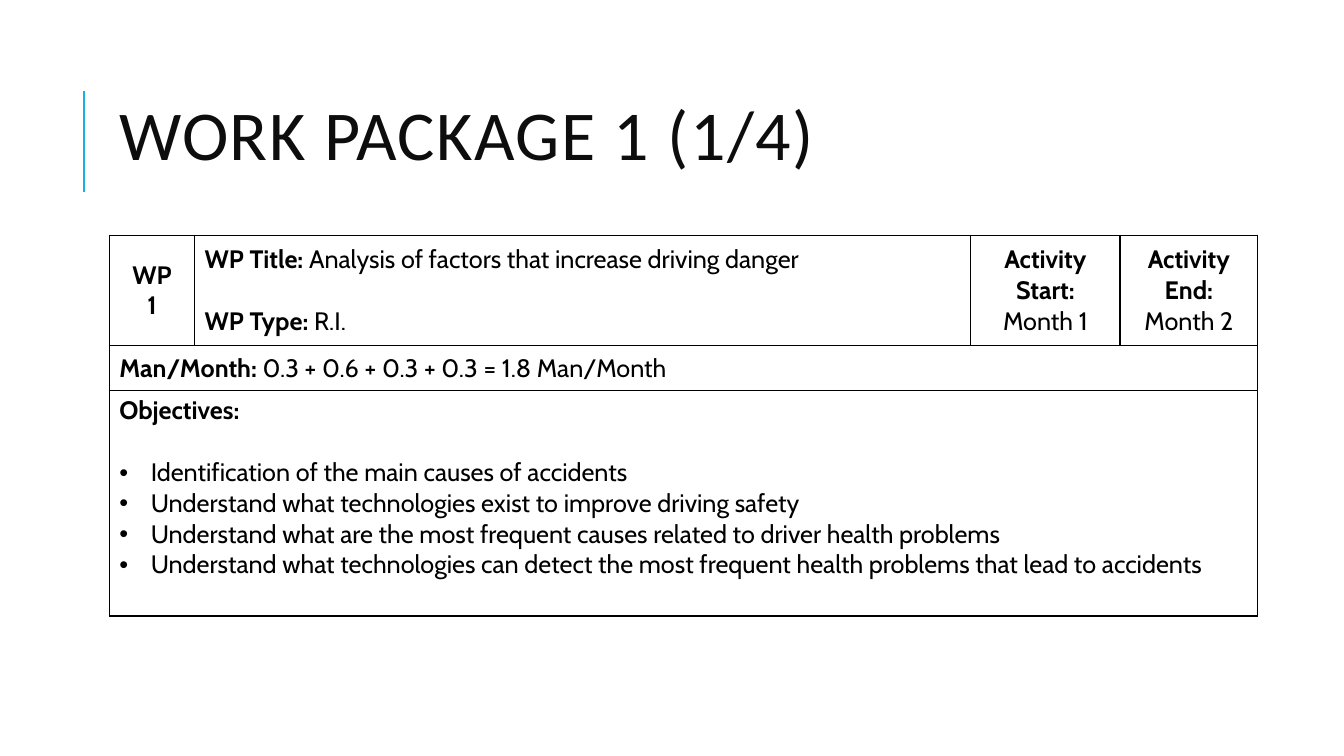
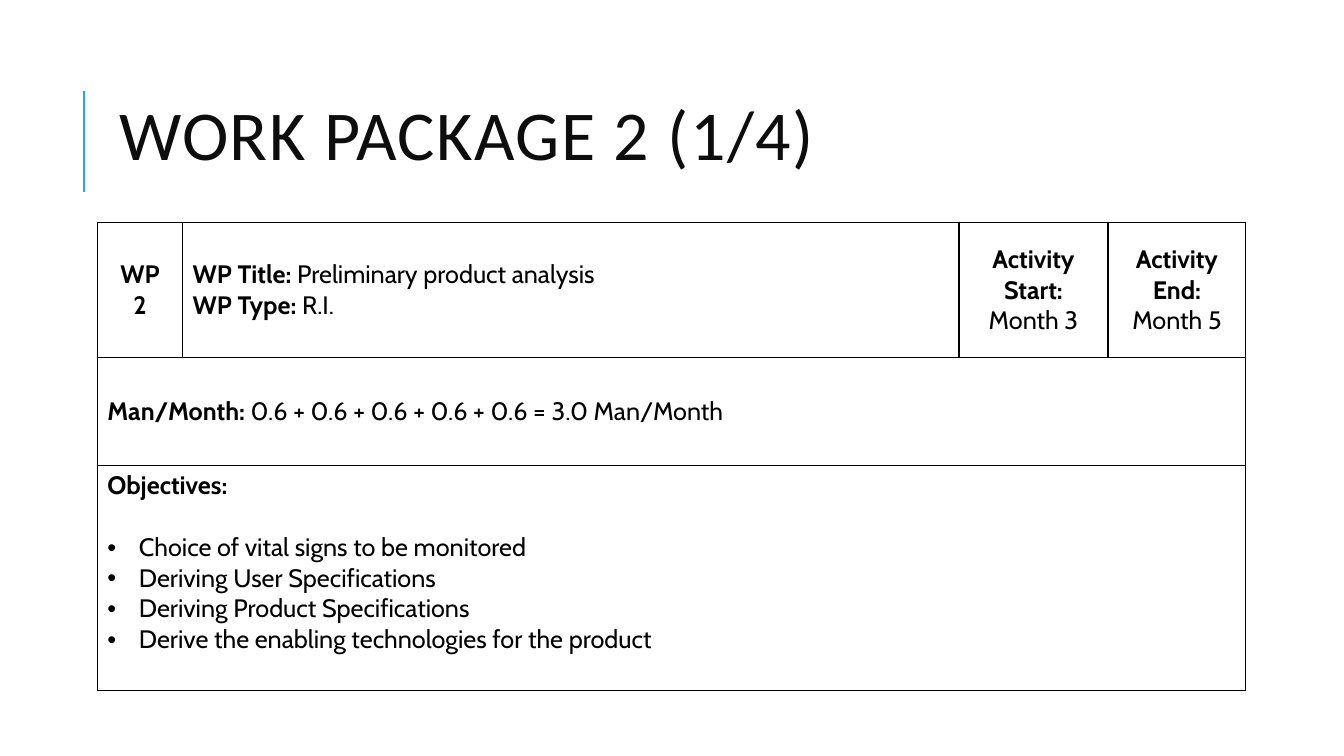
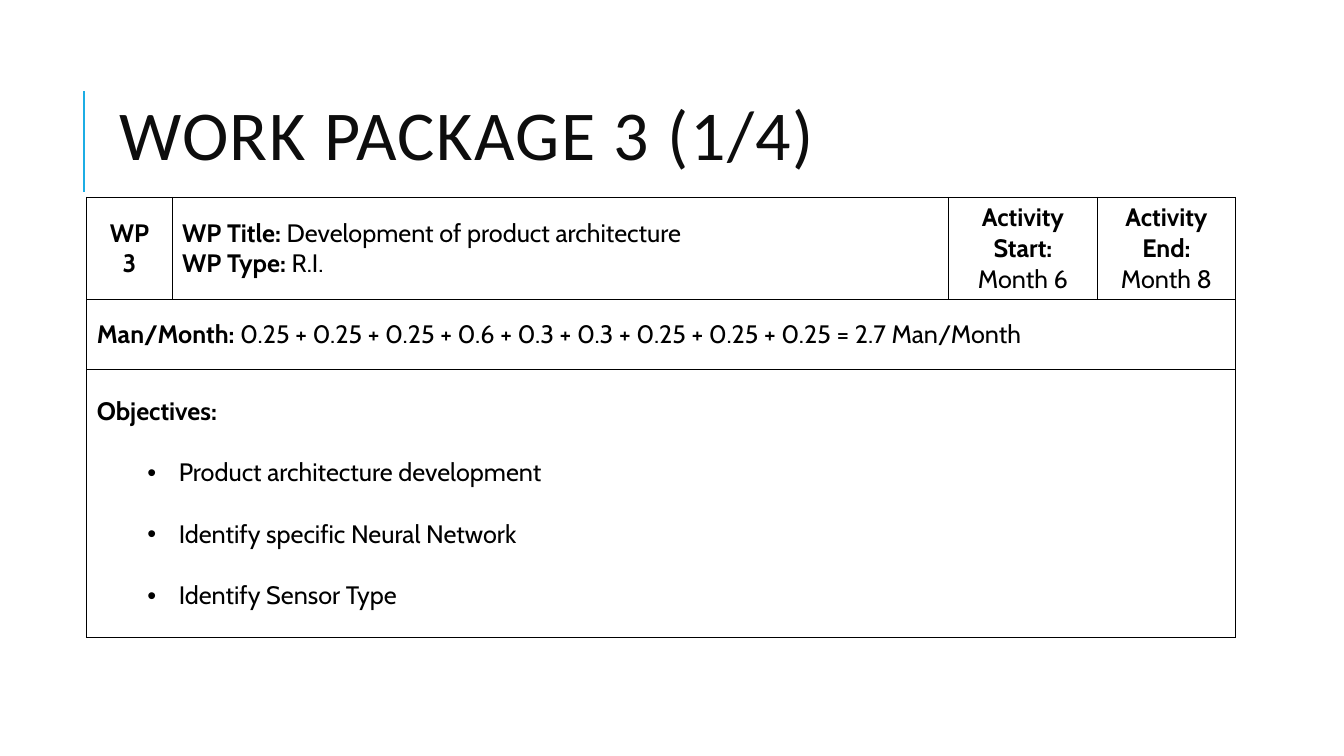
from dataclasses import dataclass

from lxml import etree
from pptx import Presentation
from pptx.dml.color import RGBColor
from pptx.enum.shapes import MSO_CONNECTOR
from pptx.enum.text import MSO_ANCHOR, MSO_AUTO_SIZE, PP_ALIGN
from pptx.oxml.ns import qn
from pptx.util import Pt

LINE = MSO_CONNECTOR.STRAIGHT
MIDDLE, TOP = MSO_ANCHOR.MIDDLE, MSO_ANCHOR.TOP
LEFT, CENTER = PP_ALIGN.LEFT, PP_ALIGN.CENTER
NO_FIT = MSO_AUTO_SIZE.NONE

ACCENT = RGBColor(0x1C, 0xAD, 0xE4)
INK = RGBColor(0x0D, 0x0D, 0x0D)
BLACK = RGBColor(0, 0, 0)
WHITE = RGBColor(0xFF, 0xFF, 0xFF)

TITLE_FONT, BODY_FONT = "Calibri", "Cabin"
BODY_SIZE = 18
BLANK_LINE = 22
HANGING = 22.5
TITLE_ONLY = 5
HEADER_BOX = (60, 41, 783, 119)
COLUMNS = (61, 554.5, 106.5, 98.5)


@dataclass
class WorkPackage:
    number: int
    title: str
    start: int
    end: int
    effort: str
    objectives: tuple
    origin: tuple
    rows: tuple
    type_gap: float = 0
    objective_gap: float = 0
    objective_indent: float = HANGING
    objective_anchor: int = TOP


PACKAGES = (
    WorkPackage(
        1, "Analysis of factors that increase driving danger", 1, 2,
        "0.3 + 0.6 + 0.3 + 0.3 = 1.8 Man/Month",
        ("Identification of the main causes of accidents",
         "Understand what technologies exist to improve driving safety",
         "Understand what are the most frequent causes related to driver health problems",
         "Understand what technologies can detect the most frequent health problems "
         "that lead to accidents"),
        (78, 168), (79, 32, 161), type_gap=BLANK_LINE),
    WorkPackage(
        2, "Preliminary product analysis", 3, 5,
        "0.6 + 0.6 + 0.6 + 0.6 + 0.6 = 3.0 Man/Month",
        ("Choice of vital signs to be monitored",
         "Deriving User Specifications",
         "Deriving Product Specifications",
         "Derive the enabling technologies for the product"),
        (69.5, 159), (96.5, 77, 161)),
    WorkPackage(
        3, "Development of product architecture", 6, 8,
        "0.25 + 0.25 + 0.25 + 0.6 + 0.3 + 0.3 + 0.25 + 0.25 + 0.25 = 2.7 Man/Month",
        ("Product architecture development",
         "Identify specific Neural Network",
         "Identify Sensor Type"),
        (62, 141), (73, 50, 191), objective_gap=BLANK_LINE,
        objective_indent=58.5, objective_anchor=MIDDLE),
)


def add_header(slide, text, box):
    left, top, width, height = box
    rule = slide.shapes.add_connector(
        LINE, Pt(left), Pt(top + 96), Pt(left), Pt(top + 24))
    rule.line.color.rgb = ACCENT
    rule.line.width = Pt(1.5)
    etree.SubElement(rule._element.spPr, qn("a:effectLst"))

    sp = slide.shapes.title
    sp.left, sp.top = Pt(left + 18), Pt(top)
    sp.width, sp.height = Pt(width - 18), Pt(height)
    tf = sp.text_frame
    tf.text = text
    tf.word_wrap = True
    tf.auto_size = NO_FIT
    tf.vertical_anchor = MIDDLE
    p = tf.paragraphs[0]
    p.alignment = LEFT
    p.line_spacing = 0.8
    r = p.runs[0]
    r.font.name = TITLE_FONT
    r.font.size = Pt(50)
    r.font.color.rgb = INK
    r.font._element.set("spc", "100")


def style_cell(cell):
    tc_pr = cell._tc.get_or_add_tcPr()
    for side in ("lnL", "lnR", "lnT", "lnB"):
        ln = etree.SubElement(tc_pr, qn(f"a:{side}"), w=str(Pt(1)))
        fill = etree.SubElement(ln, qn("a:solidFill"))
        etree.SubElement(fill, qn("a:srgbClr"), val=str(BLACK))
    cell.fill.solid()
    cell.fill.fore_color.rgb = WHITE
    cell.vertical_anchor = MIDDLE


def add_run(p, text, bold):
    r = p.add_run()
    r.text = text
    r.font.name = BODY_FONT
    r.font.size = Pt(BODY_SIZE)
    r.font.bold = bold
    r.font.color.rgb = BLACK


def write_inline(p, label, value):
    add_run(p, f"{label} ", True)
    add_run(p, value, False)


def write_stacked(cell, label, value, value_bold=False):
    p = cell.text_frame.paragraphs[0]
    p.alignment = CENTER
    add_run(p, label, True)
    p.add_line_break()
    add_run(p, value, value_bold)


def add_bullet(p, indent):
    p_pr = p._p.get_or_add_pPr()
    p_pr.set("marL", str(Pt(indent)))
    p_pr.set("indent", str(-Pt(HANGING)))
    etree.SubElement(p_pr, qn("a:buFont"), typeface="Arial")
    etree.SubElement(p_pr, qn("a:buChar"), char="•")


def write_objectives(cell, package):
    cell.vertical_anchor = package.objective_anchor
    tf = cell.text_frame
    add_run(tf.paragraphs[0], "Objectives:", True)
    for i, objective in enumerate(package.objectives):
        p = tf.add_paragraph()
        add_bullet(p, package.objective_indent)
        p.space_before = Pt(package.objective_gap if i else BLANK_LINE)
        add_run(p, objective, False)


def add_package_table(slide, package):
    left, top = package.origin
    table = slide.shapes.add_table(
        len(package.rows), len(COLUMNS), Pt(left), Pt(top),
        Pt(sum(COLUMNS)), Pt(sum(package.rows))).table
    table.first_row = table.horz_banding = False
    for column, width in zip(table.columns, COLUMNS):
        column.width = Pt(width)
    for row, height in zip(table.rows, package.rows):
        row.height = Pt(height)
    for cell in table.iter_cells():
        style_cell(cell)
    for i in (1, 2):
        table.cell(i, 0).merge(table.cell(i, len(COLUMNS) - 1))

    write_stacked(table.cell(0, 0), "WP", str(package.number), True)
    tf = table.cell(0, 1).text_frame
    write_inline(tf.paragraphs[0], "WP Title:", package.title)
    p = tf.add_paragraph()
    p.space_before = Pt(package.type_gap)
    write_inline(p, "WP Type:", "R.I.")
    write_stacked(table.cell(0, 2), "Activity Start:", f"Month {package.start}")
    write_stacked(table.cell(0, 3), "Activity End:", f"Month {package.end}")
    write_inline(table.cell(1, 0).text_frame.paragraphs[0], "Man/Month:", package.effort)
    write_objectives(table.cell(2, 0), package)


def main():
    prs = Presentation()
    prs.slide_width, prs.slide_height = Pt(960), Pt(540)
    for package in PACKAGES:
        slide = prs.slides.add_slide(prs.slide_layouts[TITLE_ONLY])
        add_header(slide, f"WORK PACKAGE {package.number} (1/4)", HEADER_BOX)
        add_package_table(slide, package)
    prs.save("out.pptx")


if __name__ == "__main__":
    main()
